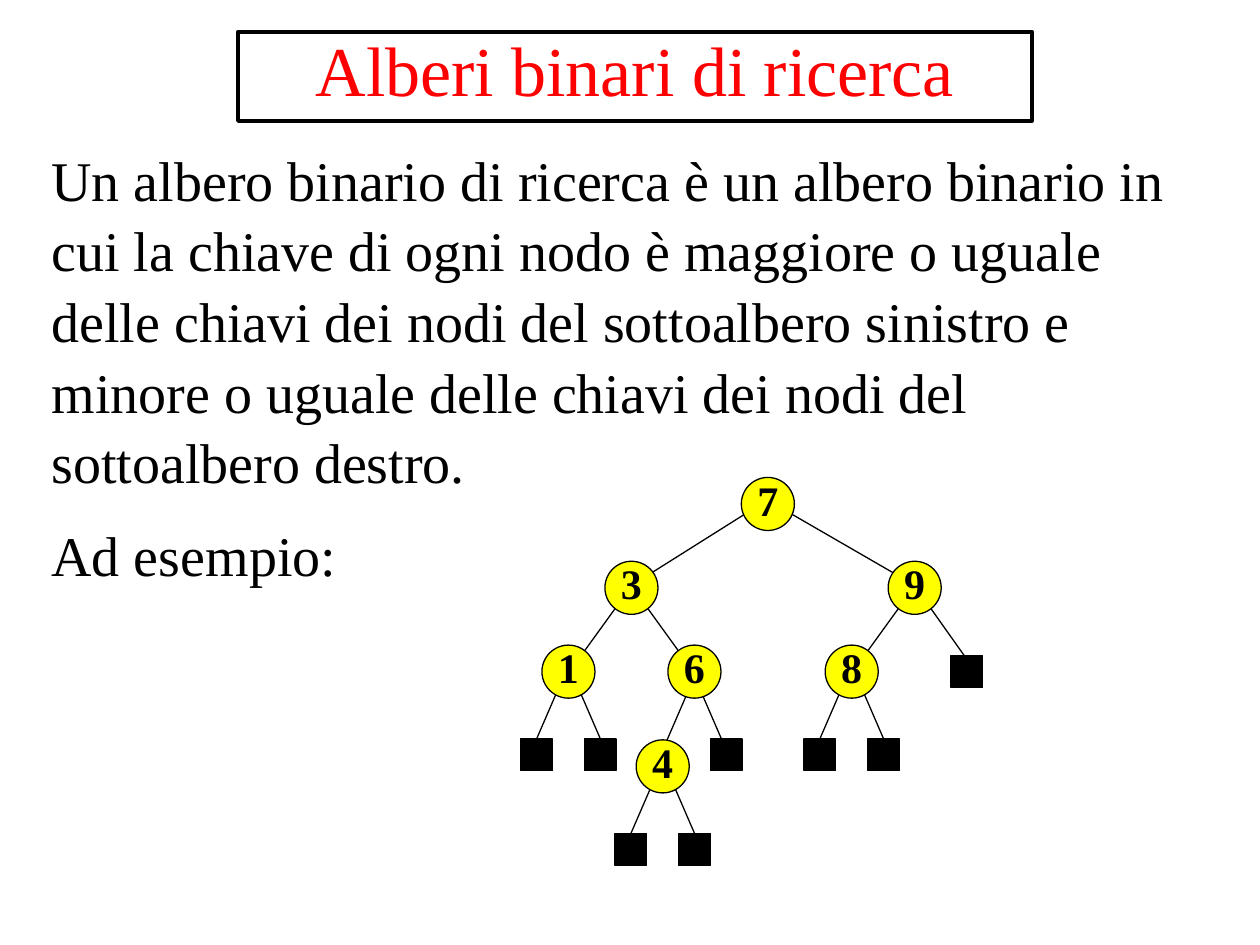
import pptx
import pptx.util
import pptx.dml.color
import pptx.enum.shapes
import pptx.enum.text
import lxml.etree
import pptx.oxml.ns

Cm, Pt = pptx.util.Cm, pptx.util.Pt
RGB = pptx.dml.color.RGBColor
Shape = pptx.enum.shapes.MSO_SHAPE
Align = pptx.enum.text.PP_ALIGN
Anchor = pptx.enum.text.MSO_ANCHOR

BLACK = RGB(0, 0, 0)
RED = RGB(255, 0, 0)
YELLOW = RGB(255, 255, 0)
FONT = "Times New Roman"

TITLE = "Alberi binari di ricerca"
BODY = [
    "Un albero binario di ricerca è un albero binario in cui la chiave di "
    "ogni nodo è maggiore o uguale delle chiavi dei nodi del sottoalbero "
    "sinistro e minore o uguale delle chiavi dei nodi del sottoalbero destro.",
    "Ad esempio:",
]

# name: centre x, centre y in cm; keys are digits, leaves are letters
NODES = {
    "7": (15.48, 10.16),
    "3": (12.73, 11.85), "9": (18.44, 11.85),
    "1": (11.46, 13.54), "6": (14.0, 13.54),
    "8": (17.17, 13.54), "i": (19.49, 13.54),
    "4": (13.36, 15.45),
}
# parent: left child, right child
KIDS = {"7": "39", "3": "16", "9": "8i", "1": "ab", "6": "4c", "8": "de",
        "4": "fg"}
GAP = 0.64      # sideways step from a low parent to its child
DROP = 1.68     # downward step from a low parent to its leaf
KEY, LEAF = 1.07, 0.64
RISE = 1.48     # height of every link
SPREAD = {"7": 0.3}
START = {"6": 0.33}

TITLE_FMT = {"size": Pt(40), "name": FONT}
BODY_FMT = {"size": Pt(32), "name": FONT}
KEY_FMT = {"size": Pt(24), "name": FONT, "bold": True}


def write(par, text, fmt, color, **look):
    run = par.add_run()
    run.text = text
    for name, val in fmt.items():
        setattr(run.font, name, val)
    run.font.color.rgb = color
    for name, val in look.items():
        setattr(par, name, val)


def box(shapes, kind, area, fill, width):
    item = shapes.add_shape(kind, *map(Cm, area))
    item.shadow.inherit = False
    if fill is None:
        item.fill.background()
    else:
        item.fill.solid()
        item.fill.fore_color.rgb = fill
    item.line.color.rgb = BLACK
    item.line.width = Pt(width)
    item.text_frame.vertical_anchor = Anchor.MIDDLE
    return item


def link(shapes, *ends):
    line = shapes.add_connector(
        pptx.enum.shapes.MSO_CONNECTOR.STRAIGHT, *map(Cm, ends))
    line.line.color.rgb = BLACK
    line.line.width = Pt(0.75)
    lxml.etree.SubElement(line._element.spPr, pptx.oxml.ns.qn("a:effectLst"))


def tree(shapes):
    spots = dict(NODES)
    for top, pair in KIDS.items():
        x, y = spots[top]
        for side, kid in zip((-1, 1), pair):
            spots.setdefault(kid, (x + side * GAP, y + DROP))
            kx = spots[kid][0]
            # links to the upper keys end inward, all others outward
            turn = -side if kid in "13689" else side
            head = y + START.get(top, 0.1)
            link(shapes, x + side * SPREAD.get(top, 0.1), head,
                 kx + turn * 0.1, head + RISE)
    for name, (x, y) in spots.items():
        key = name.isdigit()
        size = KEY if key else LEAF
        node = box(shapes, Shape.OVAL if key else Shape.RECTANGLE,
                   (x - size / 2, y - size / 2, size, size),
                   YELLOW if key else BLACK, 0.75)
        if key:
            node.text_frame.word_wrap = False
            write(node.text_frame.paragraphs[0], name, KEY_FMT, BLACK,
                  alignment=Align.CENTER, line_spacing=0.8)


def main():
    deck = pptx.Presentation()
    deck.slide_width, deck.slide_height = Cm(25.4), Cm(19.05)
    slide = deck.slides.add_slide(deck.slide_layouts[6])

    title = box(slide.shapes, Shape.RECTANGLE, (4.8, 0.64, 16, 1.8), None, 2.25)
    write(title.text_frame.paragraphs[0], TITLE, TITLE_FMT, RED,
          alignment=Align.CENTER, line_spacing=0.8)

    frame = slide.shapes.add_textbox(
        Cm(0.79), Cm(2.74), Cm(23.7), Cm(9.02)).text_frame
    frame.word_wrap = True
    for i, text in enumerate(BODY):
        par = frame.add_paragraph() if i else frame.paragraphs[0]
        write(par, text, BODY_FMT, BLACK, line_spacing=1.05,
              space_before=Pt(12.8 if i else 0))

    tree(slide.shapes.add_group_shape().shapes)
    deck.save("out.pptx")


if __name__ == "__main__":
    main()
